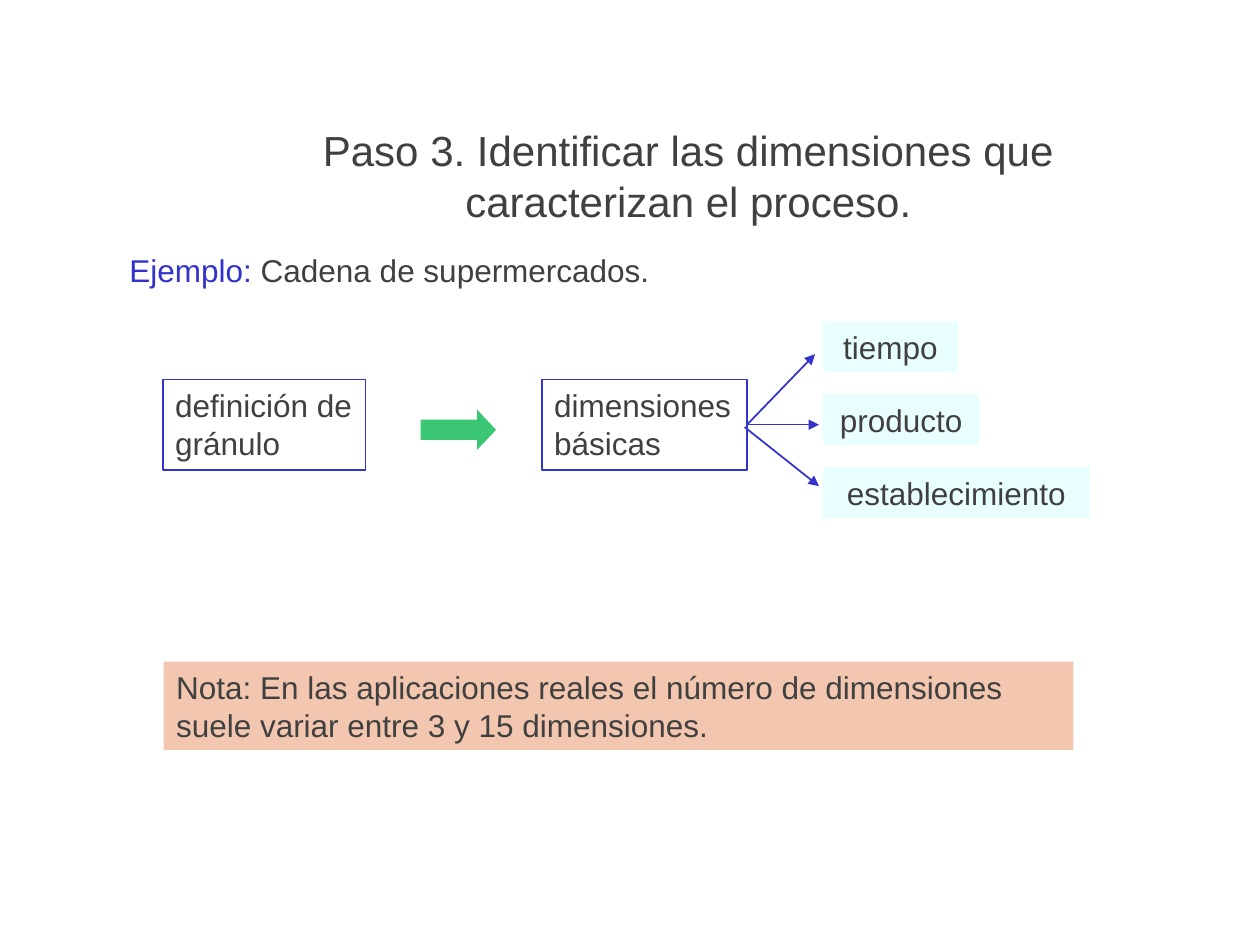
from dataclasses import dataclass
from lxml.etree import SubElement as Sub
from pptx import Presentation
from pptx.dml.color import RGBColor as RGB
from pptx.enum.shapes import MSO_CONNECTOR as Link, MSO_SHAPE as Form
from pptx.enum.text import MSO_ANCHOR as Anchor, PP_ALIGN as Align
from pptx.oxml.ns import qn
from pptx.util import Cm, Pt


@dataclass(frozen=True)
class Theme:
    face: str = "Arial"
    head: int = 24
    body: int = 18
    ink: str = "404040"
    blue: str = "3333CC"
    green: str = "3AC673"
    pale: str = "E9FEFF"
    peach: str = "F3C6AF"


class Board:
    """Draws themed elements on the current slide."""

    def __init__(self, slide, theme):
        self.slide, self.theme = slide, theme
        self.shapes = slide.shapes

    def font(self, font, size):
        font.name, font.size = self.theme.face, Pt(size)
        font.color.rgb = RGB.from_string(self.theme.ink)

    def label(self, shape, text, size, align, anchor):
        frame = shape.text_frame
        frame.word_wrap, frame.vertical_anchor = True, anchor
        frame.margin_left = frame.margin_right = Cm(0.25)
        frame.margin_top = frame.margin_bottom = Cm(0.13)
        para = frame.paragraphs[0]
        para.text, para.alignment = text, align
        self.font(para.font, size)
        return para

    def title(self, text, *area):
        shape = self.shapes.title
        shape.left, shape.top, shape.width, shape.height = map(Cm, area)
        self.label(shape, text, self.theme.head, Align.CENTER, Anchor.BOTTOM)

    def lead(self, term, text, *area):
        shape = self.shapes.add_textbox(*map(Cm, area))
        para = self.label(shape, term, self.theme.body, Align.LEFT, Anchor.TOP)
        para.runs[0].font.color.rgb = RGB.from_string(self.theme.blue)
        para.add_run().text = text

    def form(self, kind, area, fill=None, line=None):
        shape = self.shapes.add_shape(kind, *map(Cm, area))
        shape.shadow.inherit = False
        if fill:
            shape.fill.solid()
            shape.fill.fore_color.rgb = RGB.from_string(fill)
        else:
            shape.fill.background()
        if line:
            shape.line.color.rgb = RGB.from_string(line)
            shape.line.width = Pt(1)
        else:
            shape.line.fill.background()
        return shape

    def box(self, text, *area, fill=None, line=None, align=Align.LEFT):
        shape = self.form(Form.RECTANGLE, area, fill, line)
        self.label(shape, text, self.theme.body, align, Anchor.TOP)

    def block(self, *area):
        shape = self.form(Form.RIGHT_ARROW, area, self.theme.green)
        shape.adjustments[1] = 0.47

    def arrow(self, *ends):
        link = self.shapes.add_connector(Link.STRAIGHT, *map(Cm, ends))
        link.line.color.rgb = RGB.from_string(self.theme.blue)
        link.line.width = Pt(1)
        props = link._element.spPr
        Sub(props.find(qn("a:ln")), qn("a:tailEnd"), type="triangle")
        Sub(props, qn("a:effectLst"))


def main():
    deck = Presentation()
    deck.slide_width, deck.slide_height = Cm(25.4), Cm(19.05)
    theme = Theme()
    board = Board(deck.slides.add_slide(deck.slide_layouts[5]), theme)

    board.title("Paso 3. Identificar las dimensiones que caracterizan el proceso.",
                4.11, 1.07, 19.53, 3.61)
    board.lead("Ejemplo: ", "Cadena de supermercados.", 2.36, 4.93, 19.46, 1.27)

    board.box("definición de gránulo", 3.28, 7.65, 4.09, 1.83, line=theme.blue)
    board.box("dimensiones básicas", 10.92, 7.65, 4.14, 1.83, line=theme.blue)
    board.block(8.48, 8.26, 1.52, 0.81)

    tags = [("tiempo", 2.72), ("producto", 3.15), ("establecimiento", 5.38)]
    for row, (text, width) in enumerate(tags):
        board.box(text, 16.59, 6.48 + row * 1.47, width, 1.02,
                  fill=theme.pale, align=Align.CENTER)

    for ends in [(15.06, 8.56, 16.43, 7.14), (15.06, 8.56, 16.51, 8.56),
                 (15.01, 8.61, 16.51, 9.8)]:
        board.arrow(*ends)

    board.box("Nota: En las aplicaciones reales el número de dimensiones "
              "suele variar entre 3 y 15 dimensiones.",
              3.3, 13.34, 18.34, 1.78, fill=theme.peach)
    deck.save("out.pptx")


if __name__ == "__main__":
    main()
